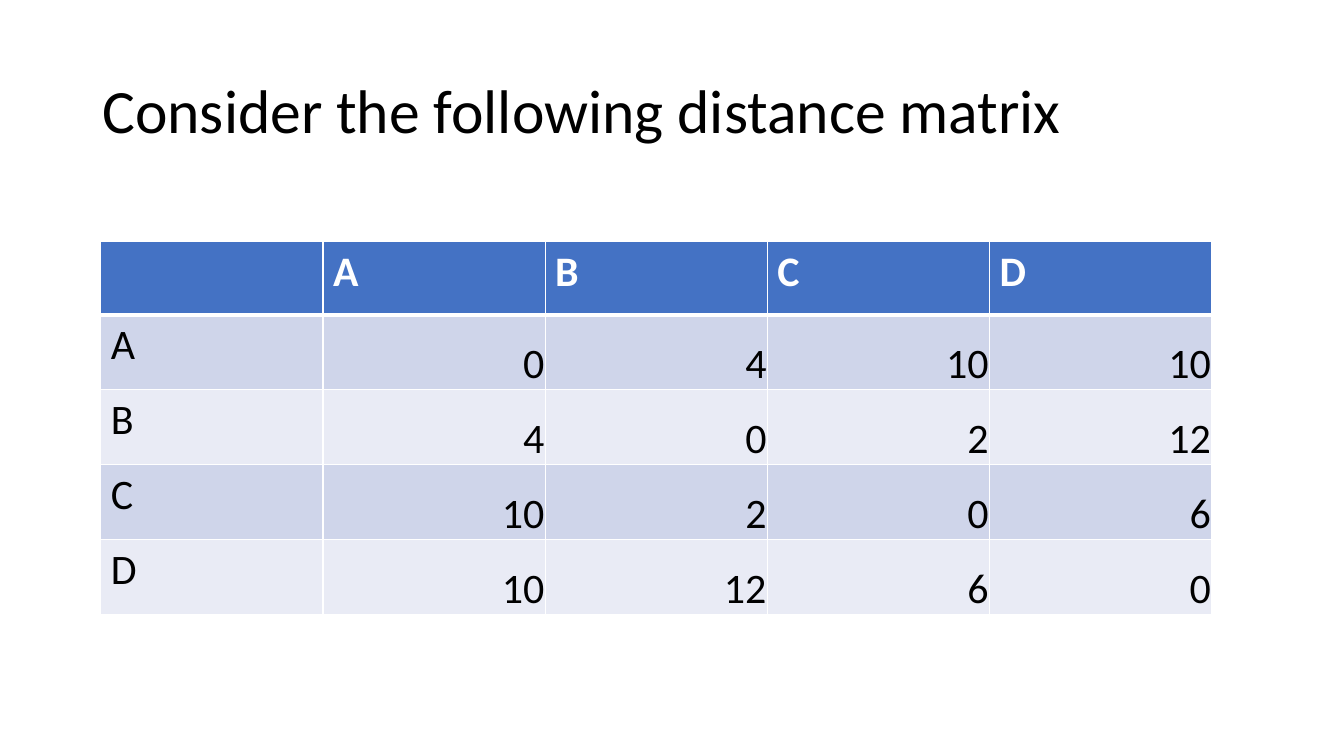
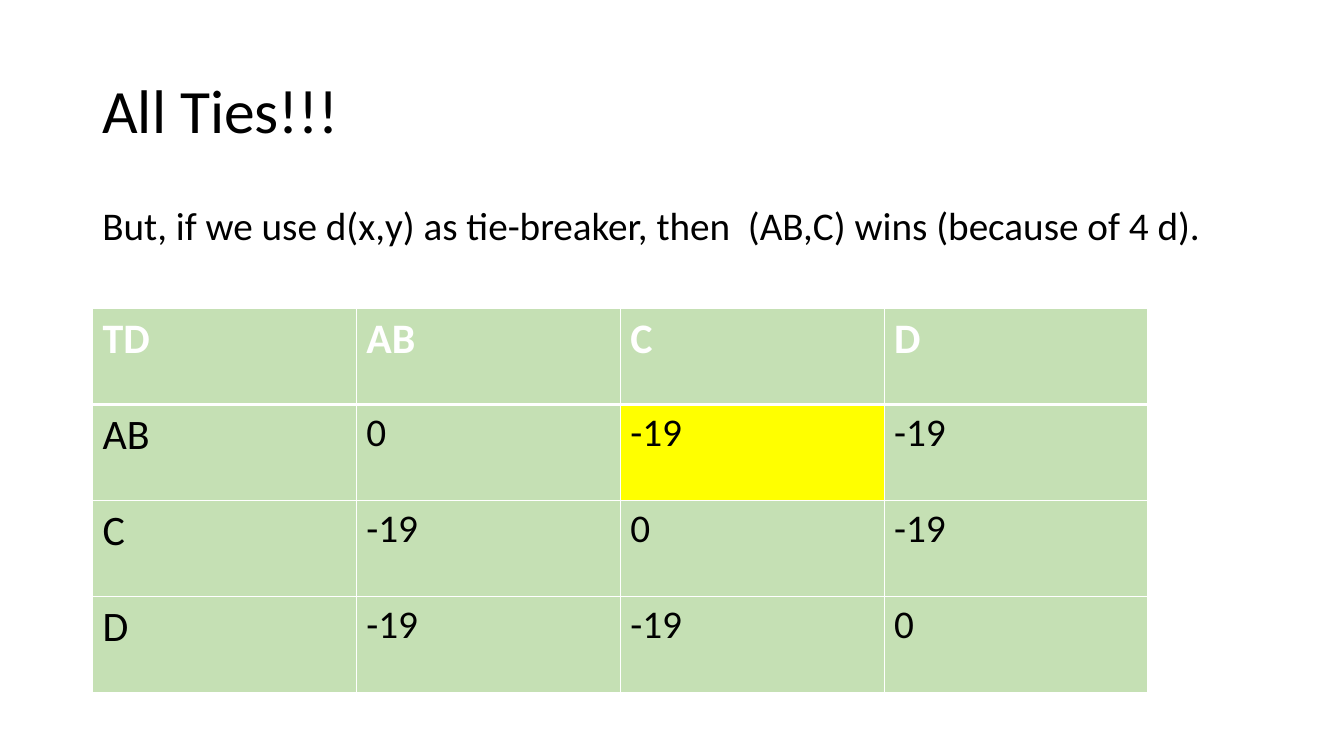
from lxml import etree
from pptx import Presentation
from pptx.dml.color import RGBColor
from pptx.enum.text import MSO_ANCHOR as ANCHOR, PP_ALIGN as ALIGN
from pptx.oxml.ns import qn
from pptx.util import Cm, Pt

# Shared style
FONT = "Calibri"
BLACK, WHITE = "000000", "FFFFFF"
BLUE, BAND_DARK, BAND_LIGHT = "4472C4", "CFD5EA", "E9EBF5"
GREEN, YELLOW = "C5E0B4", "FFFF00"
LEFT, TEXT_WIDTH = 2.33, 29.21
LABEL_SIZE = 30


def rgb(value):
    return RGBColor.from_string(value)


def style_runs(p, size, color=BLACK, bold=False):
    for r in p.runs:
        r.font.name = FONT
        r.font.size = Pt(size)
        r.font.bold = bold
        r.font.color.rgb = rgb(color)


def add_text(s, text, top, height, size, anchor=ANCHOR.TOP, before=0):
    tf = s.shapes.add_textbox(Cm(LEFT), Cm(top), Cm(TEXT_WIDTH), Cm(height)).text_frame
    tf.word_wrap = True
    tf.vertical_anchor = anchor
    p = tf.paragraphs[0]
    p.text = text
    p.line_spacing = 0.9
    p.space_before = Pt(before)
    style_runs(p, size)


def add_titled_slide(prs, title):
    s = prs.slides.add_slide(prs.slide_layouts[6])
    add_text(s, title, 1.02, 3.68, 44, ANCHOR.MIDDLE)
    return s


# Tables
def set_borders(cell, top, bottom):
    tc_pr = cell._tc.get_or_add_tcPr()
    for side, width in (("L", 1), ("R", 1), ("T", top), ("B", bottom)):
        ln = etree.SubElement(tc_pr, qn(f"a:ln{side}"), w=str(Pt(width)))
        fill = etree.SubElement(ln, qn("a:solidFill"))
        etree.SubElement(fill, qn("a:srgbClr"), val=WHITE)


def add_matrix(s, rows, left, top, col_width, row_height, header_height,
               header_fill, bands, value_size, values_at_corner=False):
    """Draw a matrix with a header row and a label column."""
    height = header_height + row_height * (len(rows) - 1)
    table = s.shapes.add_table(len(rows), len(rows[0]), Cm(left), Cm(top),
                               Cm(col_width * len(rows[0])), Cm(height)).table
    for col in table.columns:
        col.width = Cm(col_width)
    for i, values in enumerate(rows):
        is_header = i == 0
        table.rows[i].height = Cm(header_height if is_header else row_height)
        for j, value in enumerate(values):
            cell = table.cell(i, j)
            set_borders(cell, 3 if i == 1 else 1, 3 if is_header else 1)
            cell.fill.solid()
            cell.fill.fore_color.rgb = rgb(header_fill if is_header else bands[(i - 1) % len(bands)])
            is_value = not is_header and j > 0
            p = cell.text_frame.paragraphs[0]
            p.text = value
            style_runs(p, value_size if is_value else LABEL_SIZE,
                       WHITE if is_header else BLACK, is_header)
            if is_value and values_at_corner:
                p.alignment = ALIGN.RIGHT
                cell.vertical_anchor = ANCHOR.BOTTOM
                cell.margin_left = cell.margin_right = cell.margin_top = Cm(0.02)
                cell.margin_bottom = 0
    return table


# Slides
def add_distance_slide(prs):
    s = add_titled_slide(prs, "Consider the following distance matrix")
    rows = [
        ["", "A", "B", "C", "D"],
        ["A", "0", "4", "10", "10"],
        ["B", "4", "0", "2", "12"],
        ["C", "10", "2", "0", "6"],
        ["D", "10", "12", "6", "0"],
    ]
    add_matrix(s, rows, 2.54, 6.08, 5.6, 1.89, 1.85, BLUE,
               [BAND_DARK, BAND_LIGHT], 30, values_at_corner=True)


def add_ties_slide(prs):
    s = add_titled_slide(prs, "All Ties!!!")
    add_text(s, "But, if we use d(x,y) as tie-breaker, then  (AB,C) wins (because of 4 d).",
             5.08, 1.73, 28, before=10)
    rows = [
        ["TD", "AB", "C", "D"],
        ["AB", "0", "-19", "-19"],
        ["C", "-19", "0", "-19"],
        ["D", "-19", "-19", "0"],
    ]
    table = add_matrix(s, rows, LEFT, 7.77, 6.65, 2.42, 2.42, GREEN, [GREEN], 28)
    table.cell(1, 2).fill.fore_color.rgb = rgb(YELLOW)  # winning pair


def main():
    prs = Presentation()
    prs.slide_width, prs.slide_height = Cm(33.87), Cm(19.05)
    add_distance_slide(prs)
    add_ties_slide(prs)
    prs.save("out.pptx")


if __name__ == "__main__":
    main()
